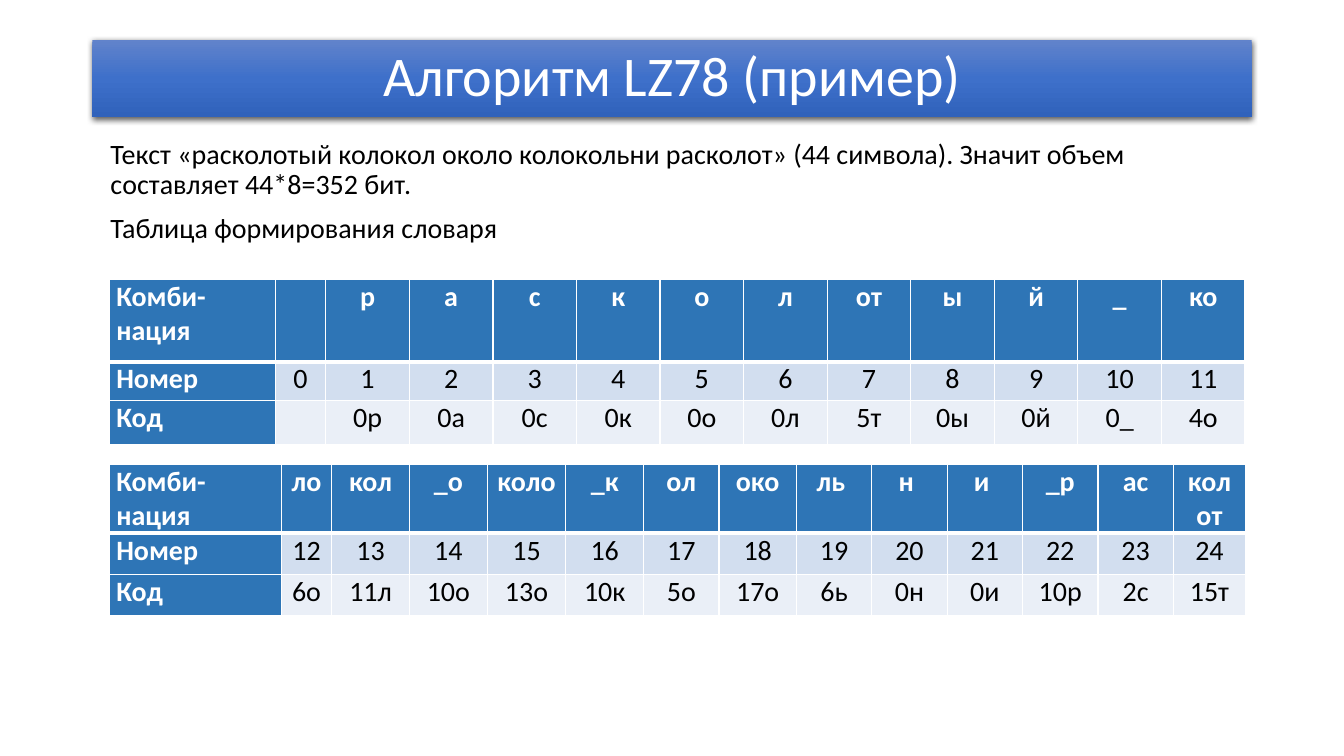
from lxml import etree
from pptx import Presentation
from pptx.dml.color import RGBColor
from pptx.enum import text
from pptx.oxml import ns, parse_xml
from pptx.util import Cm, Pt

# Content
TITLE = "Алгоритм LZ78 (пример)"
BODY = [
    "Текст «расколотый колокол около колокольни расколот» (44 символа). "
    "Значит объем составляет 44*8=352 бит.",
    "Таблица формирования словаря",
]
ROW_LABELS = ["Комби-нация", "Номер", "Код"]
TABLE_WIDTH = 28.63
DICTIONARIES = [
    {
        "first": 0,
        "phrases": ["", "р", "а", "с", "к", "о", "л", "от", "ы", "й", "_", "ко"],
        "codes": ["", "0р", "0а", "0с", "0к", "0о", "0л", "5т", "0ы", "0й", "0_", "4о"],
        "top": 7.04,
        "widths": [4.19, 1.27] + [(TABLE_WIDTH - 4.19 - 1.27) / 11] * 11,
        "heights": [2.08, 0.97, 1.12],
    },
    {
        "first": 12,
        "phrases": ["ло", "кол", "_о", "коло", "_к", "ол", "око",
                    "ль ", "н ", "и ", "_р", "ас", "колот"],
        "codes": ["6о", "11л", "10о", "13о", "10к", "5о", "17о",
                  "6ь", "0н", "0и", "10р", "2с", "15т"],
        "top": 11.71,
        "widths": [4.34, 1.27, 1.96, 1.96, 1.98, 1.96, 1.9,
                   1.95, 1.9, 1.9, 1.9, 1.9, 1.9, 1.82],
        "heights": [1.7, 1.04, 1.04],
    },
]

# Style
FONT = "Calibri"
WHITE = RGBColor(0xFF, 0xFF, 0xFF)
BLACK = RGBColor(0, 0, 0)
HEADER_BLUE = RGBColor(0x2E, 0x75, 0xB6)
ROW_FILLS = [HEADER_BLUE, RGBColor(0xD2, 0xDE, 0xEF), RGBColor(0xEA, 0xEF, 0xF7)]
TITLE_STOPS = [(0, RGBColor(0x61, 0x83, 0xCB)), (50, RGBColor(0x3E, 0x70, 0xCA)),
               (100, RGBColor(0x30, 0x62, 0xBB))]


def place(shape, left, top, width, height):
    shape.left, shape.top = Cm(left), Cm(top)
    shape.width, shape.height = Cm(width), Cm(height)


def style(para, size, color, align, bold=False):
    para.alignment = align
    para.font.name, para.font.size = FONT, Pt(size)
    para.font.color.rgb, para.font.bold = color, bold


def add_title_finish(shape):
    """Vertical gradient and a soft shadow below."""
    stops = "".join(f'<a:gs pos="{pos * 1000}"><a:srgbClr val="{color}"/></a:gs>'
                    for pos, color in TITLE_STOPS)
    properties = shape.element.spPr
    properties.append(parse_xml(
        f'<a:gradFill {ns.nsdecls("a")} rotWithShape="1"><a:gsLst>{stops}</a:gsLst>'
        '<a:lin ang="5400000" scaled="0"/></a:gradFill>'))
    properties.append(parse_xml(
        f'<a:effectLst {ns.nsdecls("a")}><a:outerShdw blurRad="{Pt(4.5)}" '
        f'dist="{Pt(1.5)}" dir="5400000" algn="ctr" rotWithShape="0">'
        '<a:srgbClr val="000000"><a:alpha val="63000"/></a:srgbClr>'
        '</a:outerShdw></a:effectLst>'))


def add_borders(cell, top, bottom):
    properties = cell._tc.get_or_add_tcPr()
    sides = [("lnL", 1), ("lnR", 1), ("lnT", top), ("lnB", bottom)]
    for index, (side, points) in enumerate(sides):
        properties.insert(index, parse_xml(
            f'<a:{side} {ns.nsdecls("a")} w="{Pt(points)}"><a:solidFill>'
            f'<a:srgbClr val="{WHITE}"/></a:solidFill></a:{side}>'))


def fill_cell(cell, value, row, column):
    heading = row == 0 or column == 0
    cell.margin_left = cell.margin_right = Cm(0.18)
    cell.margin_top = cell.margin_bottom = 0
    cell.fill.solid()
    cell.fill.fore_color.rgb = HEADER_BLUE if heading else ROW_FILLS[row]
    add_borders(cell, top=3 if row == 1 else 1, bottom=3 if row == 0 else 1)
    cell.text = value
    style(cell.text_frame.paragraphs[0], 20, WHITE if heading else BLACK,
          text.PP_ALIGN.LEFT if column == 0 else text.PP_ALIGN.CENTER, heading)


def add_dictionary(page, data):
    numbers = [str(data["first"] + i) for i in range(len(data["phrases"]))]
    rows = [[label] + values for label, values in
            zip(ROW_LABELS, [data["phrases"], numbers, data["codes"]])]
    table = page.shapes.add_table(
        len(rows), len(rows[0]), Cm(2.75), Cm(data["top"]),
        Cm(TABLE_WIDTH), Cm(sum(data["heights"]))).table
    for column, width in zip(table.columns, data["widths"]):
        column.width = Cm(width)
    for row, height in zip(table.rows, data["heights"]):
        row.height = Cm(height)
    for r, values in enumerate(rows):
        for c, value in enumerate(values):
            fill_cell(table.cell(r, c), value, r, c)


def main():
    deck = Presentation()
    deck.slide_width, deck.slide_height = Cm(33.87), Cm(19.05)
    page = deck.slides.add_slide(deck.slide_layouts[1])

    # Title band
    title = page.shapes.title
    place(title, 2.33, 1.01, 29.21, 1.93)
    add_title_finish(title)
    frame = title.text_frame
    frame.text = TITLE
    frame.auto_size = text.MSO_AUTO_SIZE.NONE
    frame.vertical_anchor = text.MSO_ANCHOR.MIDDLE
    style(frame.paragraphs[0], 40, WHITE, text.PP_ALIGN.CENTER)
    frame.paragraphs[0].line_spacing = 0.9

    # Introduction without bullets
    body = page.placeholders[1]
    place(body, 2.53, 3.4, 29.21, 15.01)
    frame = body.text_frame
    frame.text = "\n".join(BODY)
    frame.auto_size = text.MSO_AUTO_SIZE.NONE
    for para in frame.paragraphs:
        style(para, 20, BLACK, text.PP_ALIGN.LEFT)
        para.line_spacing, para.space_before = 0.9, Pt(10)
        properties = para._p.get_or_add_pPr()
        properties.set("marL", "0")
        properties.set("indent", "0")
        bullet = etree.Element(ns.qn("a:buNone"))
        properties.find(ns.qn("a:defRPr")).addprevious(bullet)

    # Dictionary tables
    for data in DICTIONARIES:
        add_dictionary(page, data)

    deck.save("out.pptx")


if __name__ == "__main__":
    main()
